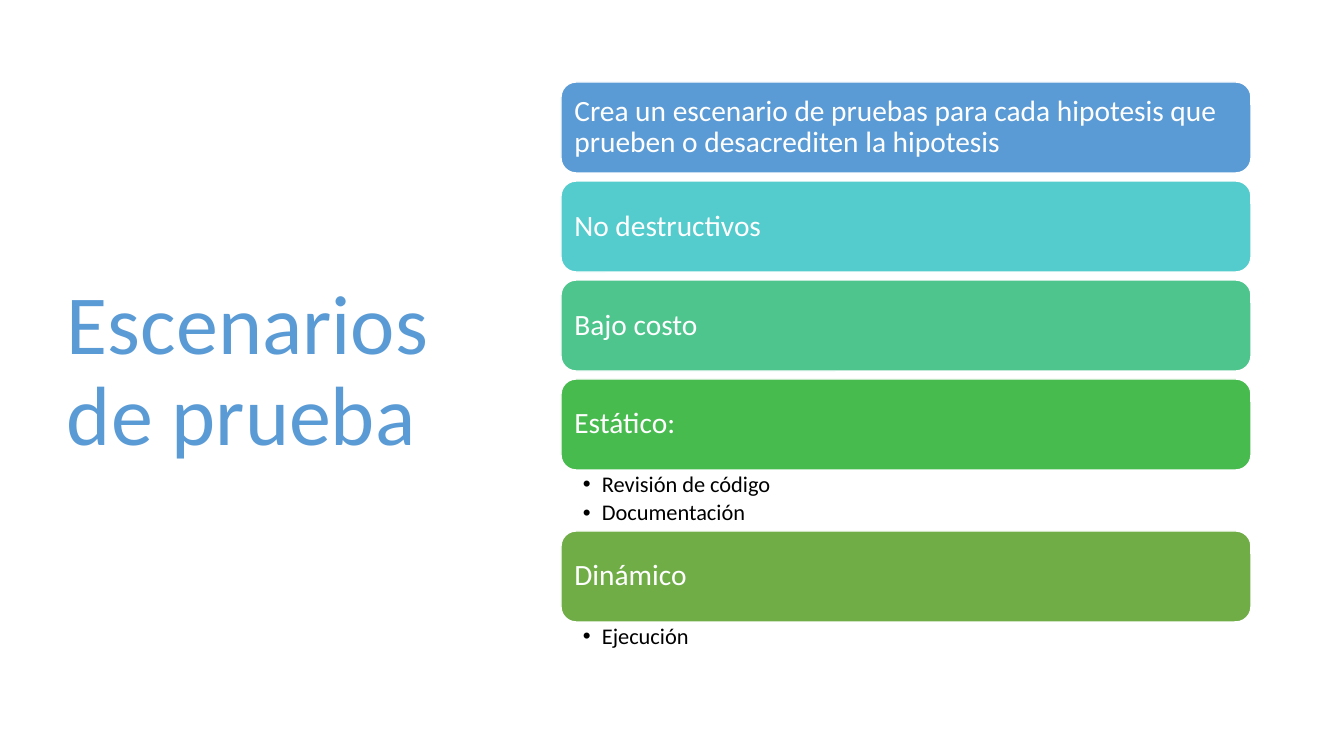
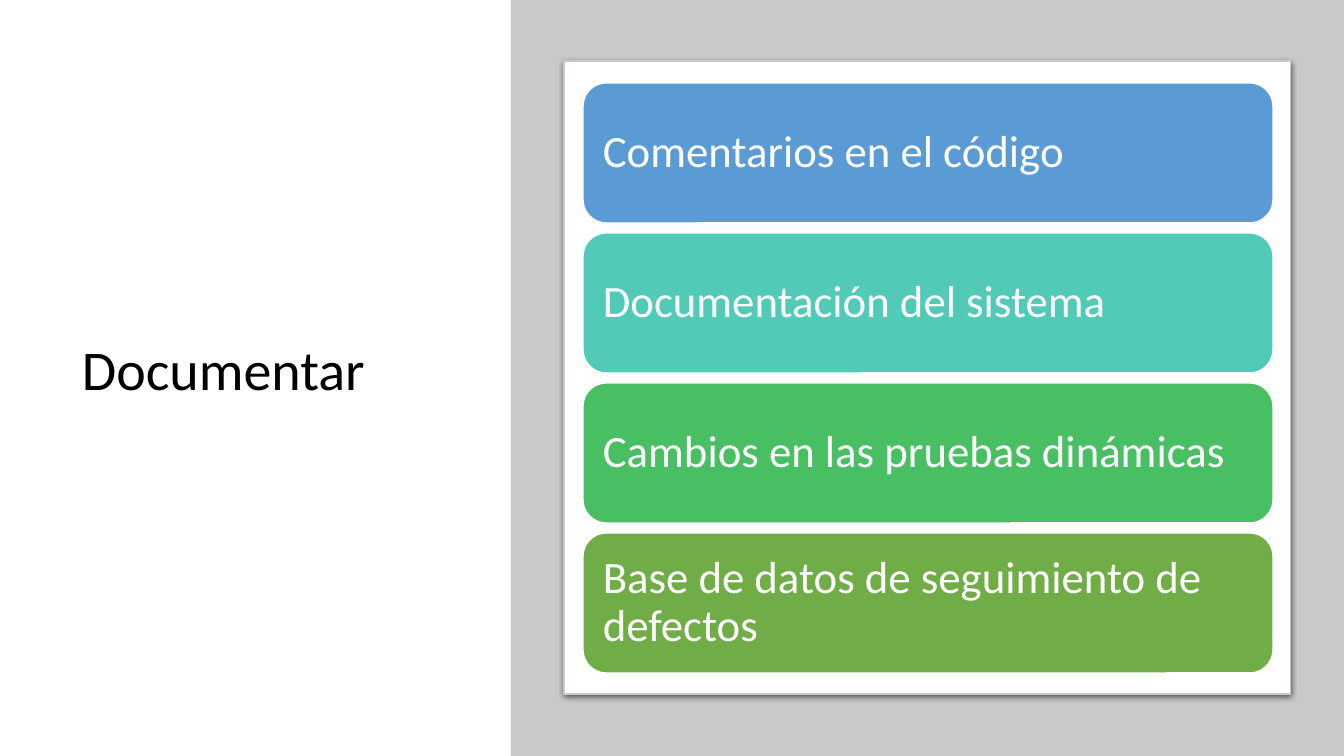
import dataclasses
import typing

import lxml.etree
import pptx
import pptx.dml.color
import pptx.enum.shapes
import pptx.enum.text
import pptx.oxml.ns
import pptx.util

EMU_PER_PIXEL = 914400 / 100.8
SLIDE_WIDTH, SLIDE_HEIGHT = 1344, 756
FONT = "Calibri"
WHITE, BLACK = "FFFFFF", "000000"
BLUE, GREEN, GRAY = "5B9BD5", "70AD47", "C8CACA"
CARD_WIDTH = 690
LINE_SPACING = 0.9
BULLET_INDENT = 19
ROUNDED = pptx.enum.shapes.MSO_SHAPE.ROUNDED_RECTANGLE
RECTANGLE = pptx.enum.shapes.MSO_SHAPE.RECTANGLE
MIDDLE = pptx.enum.text.MSO_ANCHOR.MIDDLE
TOP = pptx.enum.text.MSO_ANCHOR.TOP


class Box(typing.NamedTuple):
    left: int
    top: int
    width: int
    height: int


@dataclasses.dataclass(frozen=True)
class Card:
    text: str
    color: str
    details: tuple[str, ...] = ()
    details_height: int = 0


@dataclasses.dataclass(frozen=True)
class CardStack:
    left: int
    top: int
    card_height: int
    gap: int
    inset: int
    size: int
    cards: tuple[Card, ...]


def pixels(value: float) -> pptx.util.Emu:
    return pptx.util.Emu(round(value * EMU_PER_PIXEL))


def color(value: str) -> pptx.dml.color.RGBColor:
    return pptx.dml.color.RGBColor.from_string(value)


def add_bullet(paragraph) -> None:
    properties = paragraph._p.get_or_add_pPr()
    properties.set("marL", str(pixels(BULLET_INDENT)))
    properties.set("indent", str(pixels(-BULLET_INDENT)))
    for tag, name, value in (("a:buFont", "typeface", "Arial"), ("a:buChar", "char", "•")):
        lxml.etree.SubElement(properties, pptx.oxml.ns.qn(tag)).set(name, value)


def write_text(shape, lines: typing.Sequence[str], *, size: int, text_color: str,
               insets: tuple[int, int, int, int], anchor=MIDDLE,
               space_after: float = 0, bulleted: bool = False) -> None:
    frame = shape.text_frame
    frame.word_wrap = True
    frame.vertical_anchor = anchor
    frame.margin_left, frame.margin_top, frame.margin_right, frame.margin_bottom = map(pixels, insets)
    for index, line in enumerate(lines):
        paragraph = frame.paragraphs[0] if index == 0 else frame.add_paragraph()
        paragraph.alignment = pptx.enum.text.PP_ALIGN.LEFT
        paragraph.line_spacing = LINE_SPACING
        paragraph.space_after = pptx.util.Pt(space_after)
        if bulleted:
            add_bullet(paragraph)
        run = paragraph.add_run()
        run.text = line
        run.font.name = FONT
        run.font.size = pptx.util.Pt(size)
        run.font.color.rgb = color(text_color)


def add_text(slide, box: Box, lines: typing.Sequence[str], **text_format):
    shape = slide.shapes.add_textbox(*map(pixels, box))
    write_text(shape, lines, **text_format)
    return shape


def add_title(slide, box: Box, text: str, size: int, text_color: str) -> None:
    add_text(slide, box, [text], size=size, text_color=text_color, insets=(10, 5, 10, 5))


def add_block(slide, kind, box: Box, fill: str, line: str | None = None, line_width: float = 1):
    shape = slide.shapes.add_shape(kind, *map(pixels, box))
    shape.shadow.inherit = False
    shape.fill.solid()
    shape.fill.fore_color.rgb = color(fill)
    if line is None:
        shape.line.fill.background()
    else:
        shape.line.color.rgb = color(line)
        shape.line.width = pptx.util.Pt(line_width)
    return shape


def add_shadow(shape) -> None:
    effects = shape._element.spPr.find(pptx.oxml.ns.qn("a:effectLst"))
    shadow = lxml.etree.SubElement(effects, pptx.oxml.ns.qn("a:outerShdw"))
    shadow.set("blurRad", str(pptx.util.Pt(4.5)))
    shadow.set("dist", str(pptx.util.Pt(1.5)))
    shadow.set("dir", "5400000")
    shadow.set("algn", "t")
    shadow.set("rotWithShape", "0")
    shade = lxml.etree.SubElement(shadow, pptx.oxml.ns.qn("a:srgbClr"))
    shade.set("val", BLACK)
    lxml.etree.SubElement(shade, pptx.oxml.ns.qn("a:alpha")).set("val", "63000")


def add_cards(slide, stack: CardStack) -> None:
    top = stack.top
    for card in stack.cards:
        box = Box(stack.left, top, CARD_WIDTH, stack.card_height)
        shape = add_block(slide, ROUNDED, box, card.color, WHITE)
        write_text(shape, [card.text], size=stack.size, text_color=WHITE, insets=(stack.inset,) * 4)
        top += stack.card_height
        if card.details:
            add_text(slide, Box(stack.left, top, CARD_WIDTH, card.details_height), card.details,
                     size=16, text_color=BLACK, insets=(22, 3, 16, 3), anchor=TOP,
                     space_after=3.2, bulleted=True)
            top += card.details_height
        else:
            top += stack.gap


def build_scenarios(slide) -> None:
    add_title(slide, Box(57, 69, 419, 607), "Escenarios de prueba", 60, BLUE)
    add_cards(slide, CardStack(561, 82, 91, 8, 9, 21, (
        Card("Crea un escenario de pruebas para cada hipotesis que prueben o desacrediten la hipotesis", BLUE),
        Card("No destructivos", "54CCCD"),
        Card("Bajo costo", "4DC58D"),
        Card("Estático:", "48BB4F", ("Revisión de código", "Documentación"), 61),
        Card("Dinámico", GREEN, ("Ejecución",), 38),
    )))


def build_documentation(slide) -> None:
    add_title(slide, Box(72, 69, 404, 607), "Documentar", 40, BLACK)
    add_block(slide, RECTANGLE, Box(511, 0, SLIDE_WIDTH - 511, SLIDE_HEIGHT), GRAY)
    panel = add_block(slide, ROUNDED, Box(564, 61, 727, 633), WHITE, GRAY, 0.75)
    panel.adjustments[0] = 0
    add_shadow(panel)
    add_cards(slide, CardStack(583, 83, 140, 10, 13, 32, (
        Card("Comentarios en el código", BLUE),
        Card("Documentación del sistema", "52CAB8"),
        Card("Cambios en las pruebas dinámicas", "49BF64"),
        Card("Base de datos de seguimiento de defectos", GREEN),
    )))


presentation = pptx.Presentation()
presentation.slide_width = pixels(SLIDE_WIDTH)
presentation.slide_height = pixels(SLIDE_HEIGHT)
for build in (build_scenarios, build_documentation):
    build(presentation.slides.add_slide(presentation.slide_layouts[6]))
presentation.save("out.pptx")
